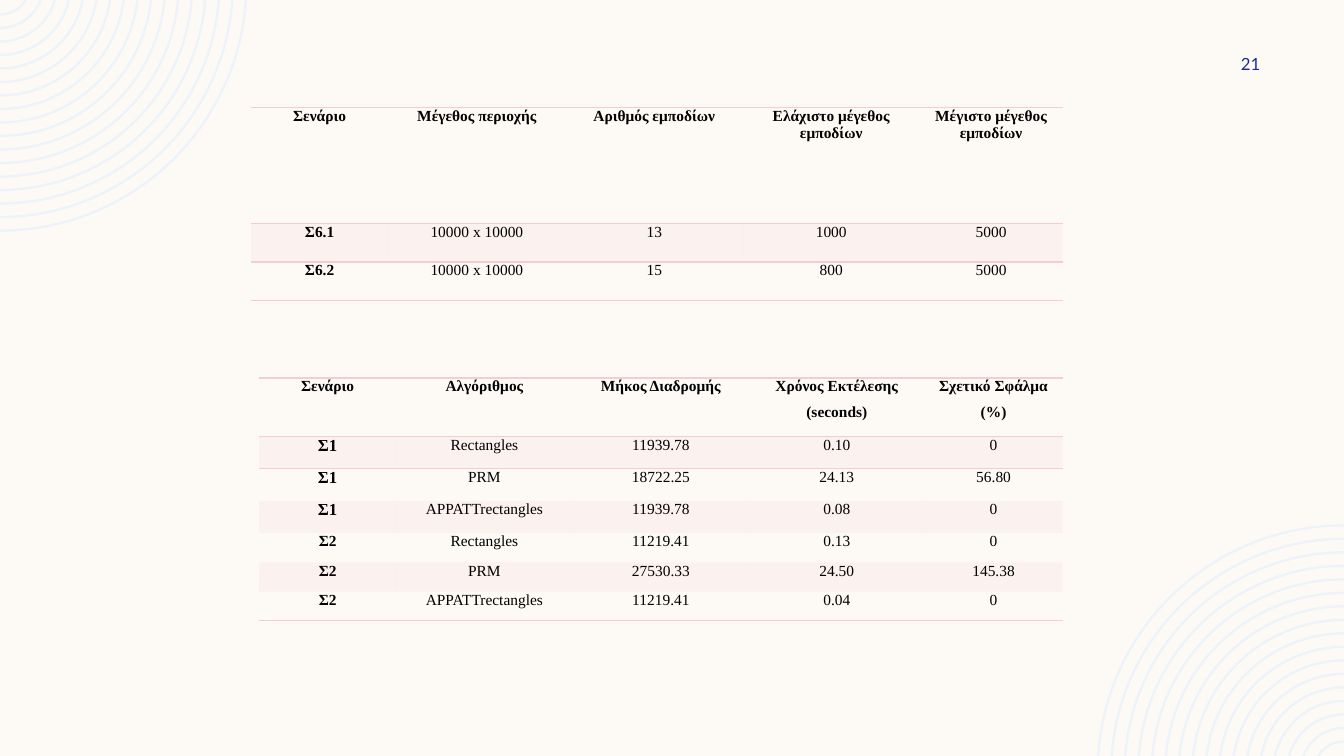
from dataclasses import dataclass
from math import asin, cos, degrees, sin

from lxml.etree import SubElement
from pptx import Presentation
from pptx.dml.color import RGBColor
from pptx.enum.text import MSO_ANCHOR, PP_ALIGN
from pptx.oxml.ns import qn
from pptx.util import Emu, Pt

EMU_PER_PX = 9144
PAGE_WIDTH, PAGE_HEIGHT = 1333, 750
PLAIN_TABLE_STYLE = "{2D5ABB26-0587-4C30-8999-92F81FD0307C}"


@dataclass(frozen=True)
class Theme:
    background: str = "FDFAF6"
    ring: str = "EEF3FA"
    accent: str = "F5CDCE"
    ink: str = "000000"
    number: str = "1F2C8F"
    table_font: str = "Times New Roman"
    number_font: str = "Lato"
    body_size: int = 11
    large_size: int = 12


THEME = Theme()

SCENARIOS = [
    ["Σενάριο", "Μέγεθος περιοχής", "Αριθμός εμποδίων",
     "Ελάχιστο μέγεθος εμποδίων", "Μέγιστο μέγεθος εμποδίων"],
    ["Σ6.1", "10000 x 10000", "13", "1000", "5000"],
    ["Σ6.2", "10000 x 10000", "15", "800", "5000"],
]
RESULTS = [
    ["Σενάριο", "Αλγόριθμος", "Μήκος Διαδρομής",
     "Χρόνος Εκτέλεσης\n(seconds)", "Σχετικό Σφάλμα\n(%)"],
    ["Σ1", "Rectangles", "11939.78", "0.10", "0"],
    ["Σ1", "PRM", "18722.25", "24.13", "56.80"],
    ["Σ1", "APPATTrectangles", "11939.78", "0.08", "0"],
    ["Σ2", "Rectangles", "11219.41", "0.13", "0"],
    ["Σ2", "PRM", "27530.33", "24.50", "145.38"],
    ["Σ2", "APPATTrectangles", "11219.41", "0.04", "0"],
]


def px(length):
    return Emu(round(length * EMU_PER_PX))


def set_values(target, values):
    for name, value in values.items():
        setattr(target, name, value)


def format_span(span, font, size, color, bold=False):
    set_values(span.font, {"name": font, "size": Pt(size), "bold": bold})
    span.font.color.rgb = RGBColor.from_string(color)


def bend_line(line, radius, start, sweep):
    """Turn a straight segment of a freeform into an arc; angles are in degrees."""
    parent = line.getparent()
    arc = SubElement(parent, qn("a:arcTo"), wR=str(px(radius)), hR=str(px(radius)),
                     stAng=str(round(start * 60000)), swAng=str(round(sweep * 60000)))
    parent.replace(line, arc)


def add_corner_rings(page, opposite=False):
    """Draw the rings at the top left, or turned by 180° at the bottom right."""
    rise, thickness = 15.5, 2.4
    builder, arcs = None, []
    for ring in range(17):
        outer = 245.5 - 13.4 * ring
        inner = outer - thickness
        outer_start, inner_start = asin(rise / outer), asin(rise / inner)
        corners = [(outer * cos(outer_start), 0), (0, outer - rise),
                   (0, inner - rise), (inner * cos(inner_start), outer * sin(outer_start) - rise)]
        if opposite:
            corners = [(PAGE_WIDTH - x, PAGE_HEIGHT - y) for x, y in corners]
        points = [(px(x), px(y)) for x, y in corners]
        if builder is None:
            builder = page.shapes.build_freeform(*points[0])
        else:
            builder.move_to(*points[0])
        builder.add_line_segments(points[1:], close=True)
        turn = 180 if opposite else 0
        arcs += [(outer, degrees(outer_start) + turn, 90 - degrees(outer_start)), None,
                 (inner, 90 + turn, degrees(inner_start) - 90)]
    rings = builder.convert_to_shape()
    for line, arc in zip(list(rings._element.iter(qn("a:lnTo"))), arcs):
        if arc:
            bend_line(line, *arc)
    rings.shadow.inherit = False
    rings.fill.solid()
    rings.fill.fore_color.rgb = RGBColor.from_string(THEME.ring)
    rings.line.fill.background()


def add_page_number(page, text):
    box = page.shapes.add_textbox(px(1142), px(50), px(108), px(27))
    set_values(box.text_frame, {
        "word_wrap": True, "vertical_anchor": MSO_ANCHOR.MIDDLE,
        "margin_left": px(10), "margin_right": 0,
        "margin_top": px(5), "margin_bottom": px(5),
    })
    para = box.text_frame.paragraphs[0]
    para.alignment = PP_ALIGN.RIGHT
    span = para.add_run()
    span.text = text
    format_span(span, THEME.number_font, THEME.large_size, THEME.number)


def add_border(cell, side):
    line = SubElement(cell._tc.get_or_add_tcPr(), qn(f"a:{side}"), w=str(Pt(1)))
    fill = SubElement(line, qn("a:solidFill"))
    SubElement(fill, qn("a:srgbClr"), val=THEME.accent)


def fill_cell(cell, banded):
    if not banded:
        cell.fill.background()
        return
    cell.fill.solid()
    cell.fill.fore_color.rgb = RGBColor.from_string(THEME.accent)
    color = cell._tc.tcPr.find(f"{qn('a:solidFill')}/{qn('a:srgbClr')}")
    SubElement(color, qn("a:alpha"), val="20000")


def write_cell(cell, text, size, bold):
    set_values(cell, {
        "margin_left": px(7), "margin_right": px(7),
        "margin_top": 0, "margin_bottom": 0,
    })
    cell.text = text
    for para in cell.text_frame.paragraphs:
        set_values(para, {
            "alignment": PP_ALIGN.CENTER, "space_before": Pt(3), "space_after": Pt(3),
        })
        for span in para.runs:
            format_span(span, THEME.table_font, size, THEME.ink, bold)


def add_ruled_table(page, rows, left, top, widths, heights, large_label=None):
    """Add a table with rules round its header and below it, and every other row tinted."""
    frame = page.shapes.add_table(len(rows), len(widths), px(left), px(top),
                                  px(sum(widths)), px(sum(heights)))
    table = frame.table
    set_values(table, {"first_row": False, "horz_banding": False})
    table._tbl.tblPr.find(qn("a:tableStyleId")).text = PLAIN_TABLE_STYLE
    for column, width in zip(table.columns, widths):
        column.width = px(width)
    for row, height in zip(table.rows, heights):
        row.height = px(height)
    for row_index, row in enumerate(rows):
        for column_index, text in enumerate(row):
            cell = table.cell(row_index, column_index)
            size = THEME.large_size if text == large_label else THEME.body_size
            write_cell(cell, text, size, bold=row_index == 0 or column_index == 0)
            if row_index in (0, 1):
                add_border(cell, "lnT")
            if row_index in (0, len(rows) - 1):
                add_border(cell, "lnB")
            fill_cell(cell, banded=row_index % 2 == 1)


def main():
    deck = Presentation()
    set_values(deck, {"slide_width": px(PAGE_WIDTH), "slide_height": px(PAGE_HEIGHT)})
    page = deck.slides.add_slide(deck.slide_layouts[6])
    page.background.fill.solid()
    page.background.fill.fore_color.rgb = RGBColor.from_string(THEME.background)

    add_corner_rings(page)
    add_corner_rings(page, opposite=True)
    add_page_number(page, "21")
    add_ruled_table(page, SCENARIOS, left=249, top=107,
                    widths=[136, 176, 176, 175, 142], heights=[115, 38, 38])
    add_ruled_table(page, RESULTS, left=257, top=375,
                    widths=[136, 175, 175, 174, 137],
                    heights=[58] + [32] * 3 + [29] * 3, large_label="Σ1")
    deck.save("out.pptx")


if __name__ == "__main__":
    main()
